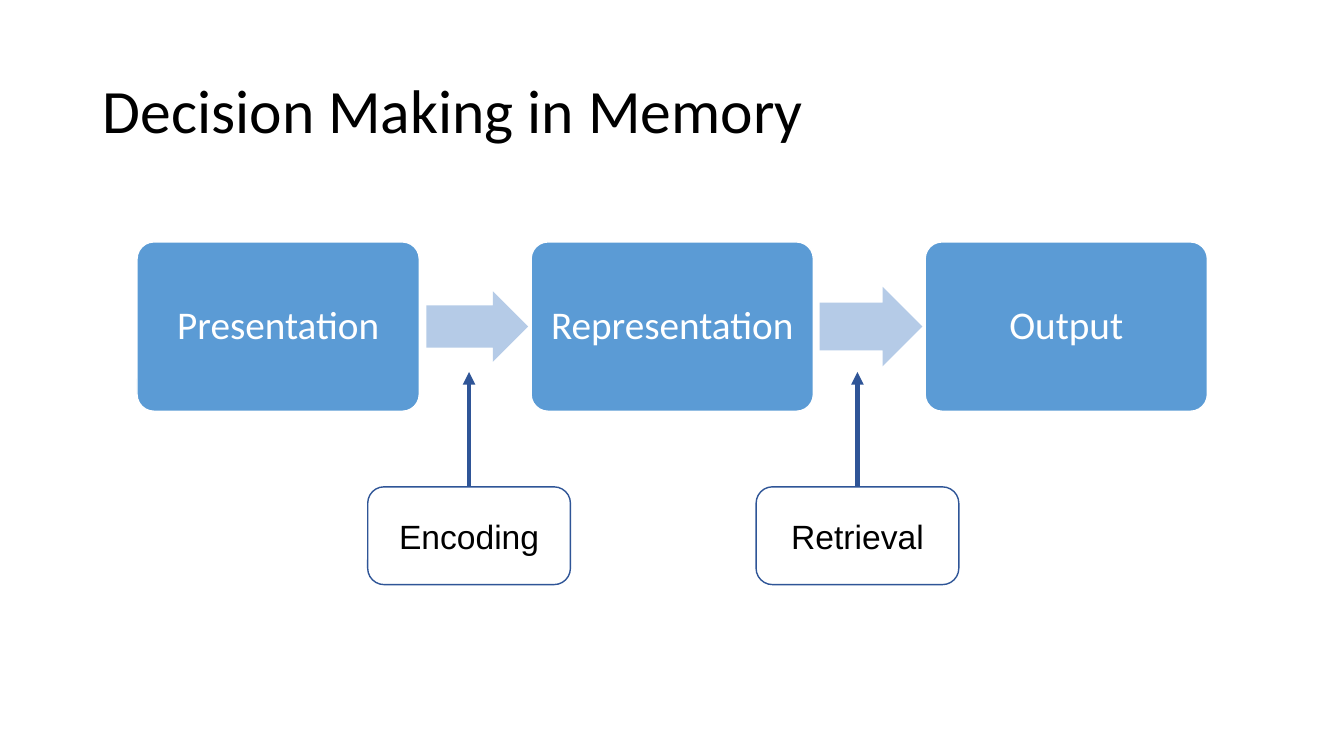
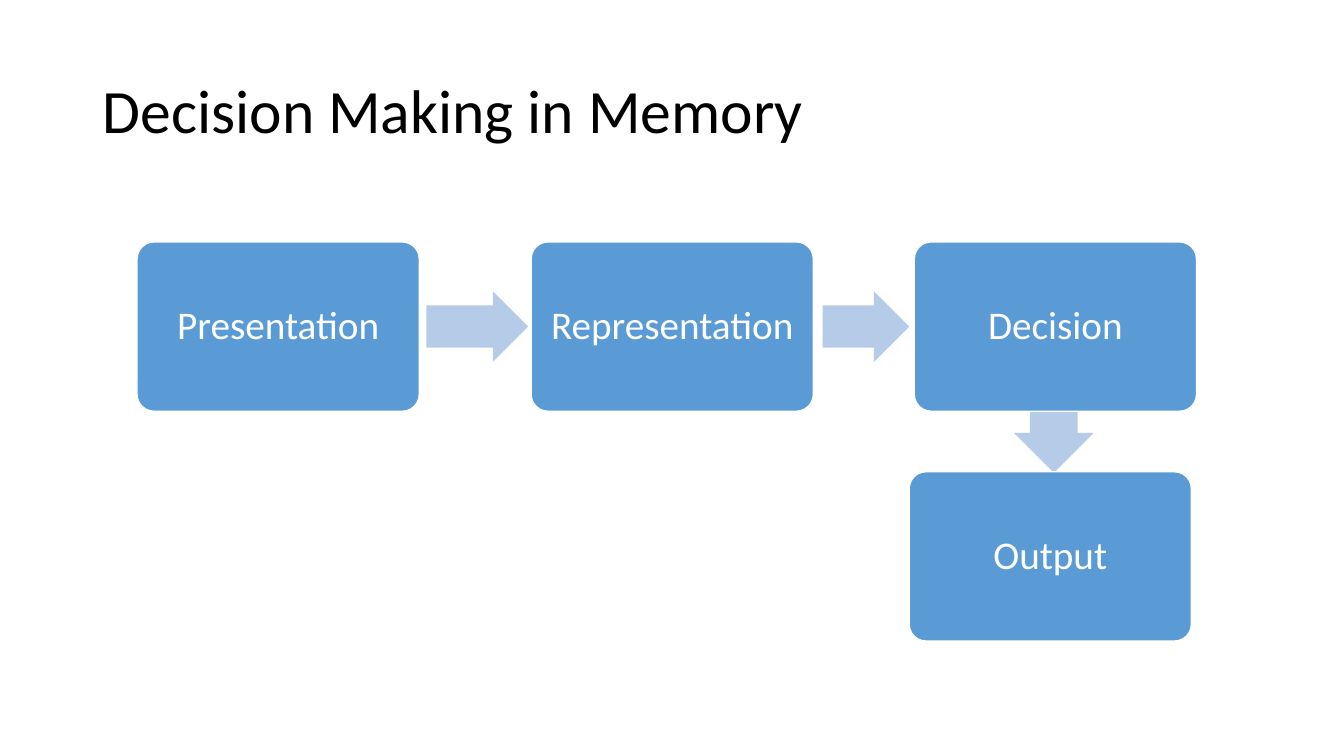
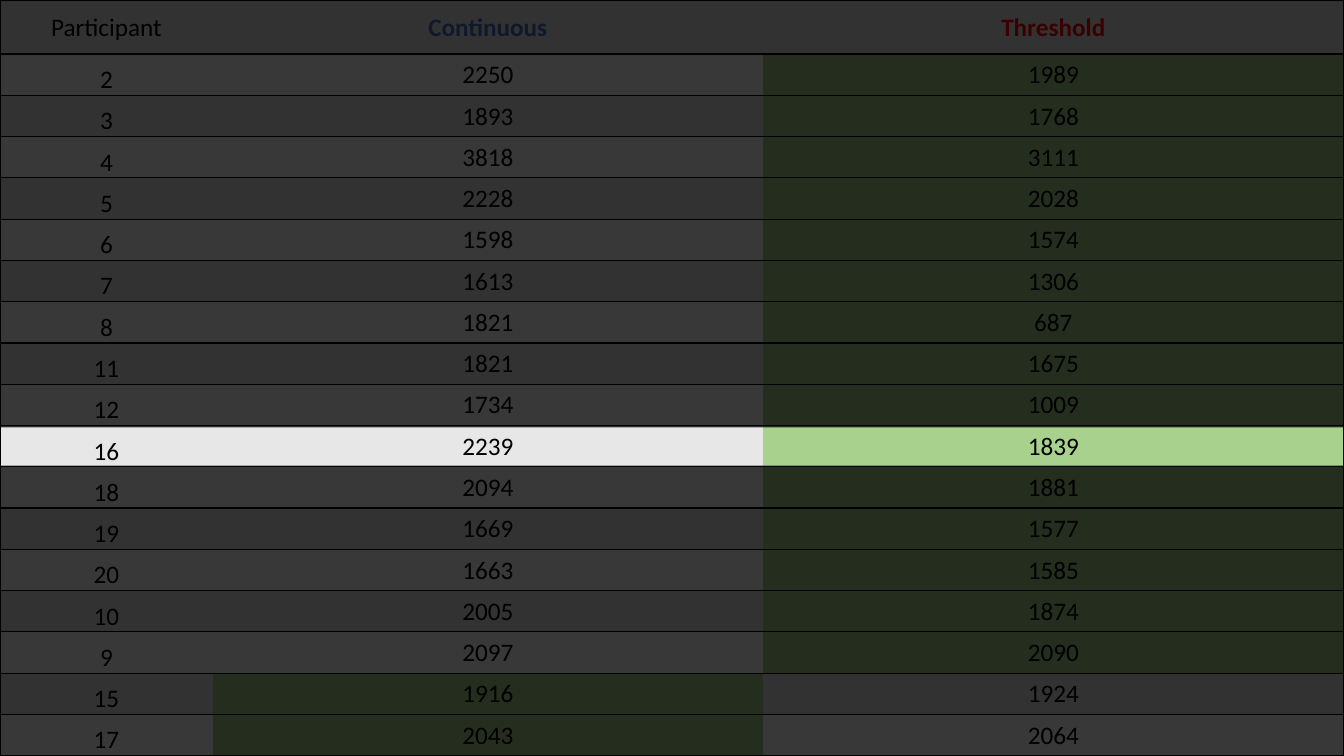
from dataclasses import dataclass

from lxml import etree
from pptx import Presentation
from pptx.dml.color import RGBColor
from pptx.enum.shapes import MSO_CONNECTOR, MSO_SHAPE
from pptx.enum.text import MSO_ANCHOR, MSO_AUTO_SIZE, PP_ALIGN
from pptx.oxml.ns import qn
from pptx.util import Inches, Pt

ROUNDED, ARROW, RECT = MSO_SHAPE.ROUNDED_RECTANGLE, MSO_SHAPE.RIGHT_ARROW, MSO_SHAPE.RECTANGLE
STRAIGHT = MSO_CONNECTOR.STRAIGHT
CENTER, LEFT = PP_ALIGN.CENTER, PP_ALIGN.LEFT
MIDDLE, BOTTOM = MSO_ANCHOR.MIDDLE, MSO_ANCHOR.BOTTOM
NO_AUTOFIT = MSO_AUTO_SIZE.NONE

BLACK = RGBColor(0x00, 0x00, 0x00)
WHITE = RGBColor(0xFF, 0xFF, 0xFF)
BLUE = RGBColor(0x5B, 0x9B, 0xD5)
PALE_BLUE = RGBColor(0xB5, 0xCB, 0xE7)
NAVY = RGBColor(0x2F, 0x55, 0x97)
GREY = RGBColor(0xE7, 0xE7, 0xE7)
GREEN = RGBColor(0xA9, 0xD1, 0x8E)
CONTINUOUS_BLUE = RGBColor(0x44, 0x72, 0xC4)
THRESHOLD_RED = RGBColor(0xFF, 0x00, 0x00)

SLIDE_W, SLIDE_H = Inches(13.333), Inches(7.5)
GRID = 100
TITLE_ONLY, BLANK = 5, 6
BODY_FONT, LABEL_FONT = "Calibri", "Arial"

TITLE = "Decision Making in Memory"
STAGE_LEFT, STAGE_TOP, STAGE_PITCH = 10.2, 32, 29.32
STAGE_W, STAGE_H = 21, 22.4
FLOW_ROW = STAGE_TOP + STAGE_H / 2
LABEL_TOP, LABEL_W, LABEL_H = 64.4, 15.08, 12.93
POINTER_TIP = 49.2

HEADERS = (("Participant", BLACK), ("Continuous", CONTINUOUS_BLUE), ("Threshold", THRESHOLD_RED))
SCORES = (
    (2, 2250, 1989), (3, 1893, 1768), (4, 3818, 3111), (5, 2228, 2028),
    (6, 1598, 1574), (7, 1613, 1306), (8, 1821, 687), (11, 1821, 1675),
    (12, 1734, 1009), (16, 2239, 1839), (18, 2094, 1881), (19, 1669, 1577),
    (20, 1663, 1585), (10, 2005, 1874), (9, 2097, 2090), (15, 1916, 1924),
    (17, 2043, 2064),
)
COLUMN_WIDTHS = (15.84, 40.92, 43.24)
HEADER_H = 7.15
SHADES = ((0, 56.53), (61.6, 38.4))
SHADE_ALPHA = 78


@dataclass(frozen=True)
class Stage:
    text: str
    left: float
    top: float = STAGE_TOP


@dataclass(frozen=True)
class FlowArrow:
    center: float
    width: float
    height: float = 9.33
    row: float = FLOW_ROW
    rotation: float = 0


@dataclass(frozen=True)
class Label:
    text: str
    center: float


PRESENTATION = Stage("Presentation", STAGE_LEFT)
REPRESENTATION = Stage("Representation", STAGE_LEFT + STAGE_PITCH)
FIRST_ARROW = FlowArrow(35.51, 7.58)

MEMORY_FLOW = (
    PRESENTATION, FIRST_ARROW, REPRESENTATION,
    FlowArrow(64.8, 7.65, 10.53),
    Stage("Output", STAGE_LEFT + 2 * STAGE_PITCH),
)
MEMORY_LABELS = (Label("Encoding", 34.9), Label("Retrieval", 63.8))
DECISION_FLOW = (
    PRESENTATION, FIRST_ARROW, REPRESENTATION,
    FlowArrow(78.41, 6.23, 10.53, 57, 90),
    Stage("Output", 67.65, 62.4),
    Stage("Decision", 68.03),
    FlowArrow(64.43, 6.45),
)


def across(columns: float) -> int:
    return round(SLIDE_W * columns / GRID)


def down(rows: float) -> int:
    return round(SLIDE_H * rows / GRID)


def format_text(tf, text: str, size: int, color: RGBColor, font: str = BODY_FONT,
                align=CENTER, bold: bool = False) -> None:
    tf.text = text
    p = tf.paragraphs[0]
    p.alignment = align
    p.font.name, p.font.size, p.font.bold = font, Pt(size), bold
    p.font.color.rgb = color


def add_block(slide, kind, left: float, top: float, width: float, height: float,
              fill: RGBColor, line: RGBColor | None = None):
    sp = slide.shapes.add_shape(kind, across(left), down(top), across(width), down(height))
    sp.shadow.inherit = False
    sp.fill.solid()
    sp.fill.fore_color.rgb = fill
    if line is None:
        sp.line.fill.background()
    else:
        sp.line.color.rgb = line
        sp.line.width = Pt(1)
    sp.text_frame.vertical_anchor = MIDDLE
    return sp


def add_stage(slide, stage: Stage) -> None:
    sp = add_block(slide, ROUNDED, stage.left, stage.top, STAGE_W, STAGE_H, BLUE, WHITE)
    sp.adjustments[0] = 0.1
    format_text(sp.text_frame, stage.text, 28, WHITE)
    sp.text_frame.paragraphs[0].line_spacing = 0.9


def add_flow_arrow(slide, arrow: FlowArrow) -> None:
    sp = add_block(slide, ARROW, arrow.center - arrow.width / 2, arrow.row - arrow.height / 2,
                   arrow.width, arrow.height, PALE_BLUE)
    sp.adjustments[0], sp.adjustments[1] = 0.6, 0.5
    sp.rotation = arrow.rotation


def add_label(slide, label: Label) -> None:
    sp = add_block(slide, ROUNDED, label.center - LABEL_W / 2, LABEL_TOP,
                   LABEL_W, LABEL_H, WHITE, NAVY)
    format_text(sp.text_frame, label.text, 24, BLACK, LABEL_FONT)
    x = across(label.center)
    pointer = slide.shapes.add_connector(STRAIGHT, x, down(LABEL_TOP), x, down(POINTER_TIP))
    pointer.line.color.rgb = NAVY
    pointer.line.width = Pt(3)
    etree.SubElement(pointer.line._get_or_add_ln(), qn("a:tailEnd"), type="triangle")
    etree.SubElement(pointer._element.spPr, qn("a:effectLst"))


def add_flow_slide(prs, flow: tuple[Stage | FlowArrow, ...], labels: tuple[Label, ...] = ()) -> None:
    slide = prs.slides.add_slide(prs.slide_layouts[TITLE_ONLY])
    title = slide.shapes.title
    title.left, title.top = across(6.9), down(5.33)
    title.width, title.height = across(86.25), down(19.33)
    tf = title.text_frame
    tf.auto_size, tf.vertical_anchor = NO_AUTOFIT, MIDDLE
    format_text(tf, TITLE, 44, BLACK, align=LEFT)
    tf.paragraphs[0].line_spacing = 0.9
    for item in flow:
        if isinstance(item, Stage):
            add_stage(slide, item)
        else:
            add_flow_arrow(slide, item)
    for label in labels:
        add_label(slide, label)


def set_borders(cell, sides: str) -> None:
    tc_pr = cell._tc.get_or_add_tcPr()
    for side in "LRTB":
        ln = etree.SubElement(tc_pr, qn(f"a:ln{side}"), w=str(Pt(1)))
        if side in sides:
            fill = etree.SubElement(ln, qn("a:solidFill"))
            etree.SubElement(fill, qn("a:srgbClr"), val=str(BLACK))
        else:
            etree.SubElement(ln, qn("a:noFill"))


def format_cell(cell, text: str, fill: RGBColor, sides: str, color: RGBColor = BLACK,
                bold: bool = False, anchor=MIDDLE) -> None:
    cell.margin_left = cell.margin_right = cell.margin_top = Inches(0.01)
    cell.margin_bottom = 0
    cell.vertical_anchor = anchor
    format_text(cell.text_frame, text, 18, color, bold=bold)
    set_borders(cell, sides)
    cell.fill.solid()
    cell.fill.fore_color.rgb = fill


def add_score_table(slide) -> None:
    table = slide.shapes.add_table(len(SCORES) + 1, len(HEADERS), 0, 0, SLIDE_W, SLIDE_H).table
    table.first_row = table.horz_banding = False
    for column, width in zip(table.columns, COLUMN_WIDTHS):
        column.width = across(width)
    for row in table.rows:
        row.height = down((GRID - HEADER_H) / len(SCORES))
    table.rows[0].height = down(HEADER_H)

    column_sides = ("LTB", "TB", "RTB")
    for c, (text, color) in enumerate(HEADERS):
        format_cell(table.cell(0, c), text, GREY, column_sides[c], color, bold=c > 0)
    for r, scores in enumerate(SCORES, 1):
        band = WHITE if r % 2 else GREY
        best = min(scores[1:])
        for c, value in enumerate(scores):
            fill = GREEN if c and value == best else band
            format_cell(table.cell(r, c), str(value), fill, column_sides[c],
                        anchor=MIDDLE if c else BOTTOM)


def add_shade(slide, top: float, height: float) -> None:
    sp = add_block(slide, RECT, 0, top, GRID, height, BLACK)
    color = sp._element.spPr.find(qn("a:solidFill"))[0]
    etree.SubElement(color, qn("a:alpha"), val=str(SHADE_ALPHA * 1000))


def add_score_slide(prs) -> None:
    slide = prs.slides.add_slide(prs.slide_layouts[BLANK])
    add_score_table(slide)
    for top, height in SHADES:
        add_shade(slide, top, height)


def main() -> None:
    prs = Presentation()
    prs.slide_width, prs.slide_height = SLIDE_W, SLIDE_H
    add_flow_slide(prs, MEMORY_FLOW, MEMORY_LABELS)
    add_flow_slide(prs, DECISION_FLOW)
    add_score_slide(prs)
    prs.save("out.pptx")


if __name__ == "__main__":
    main()
